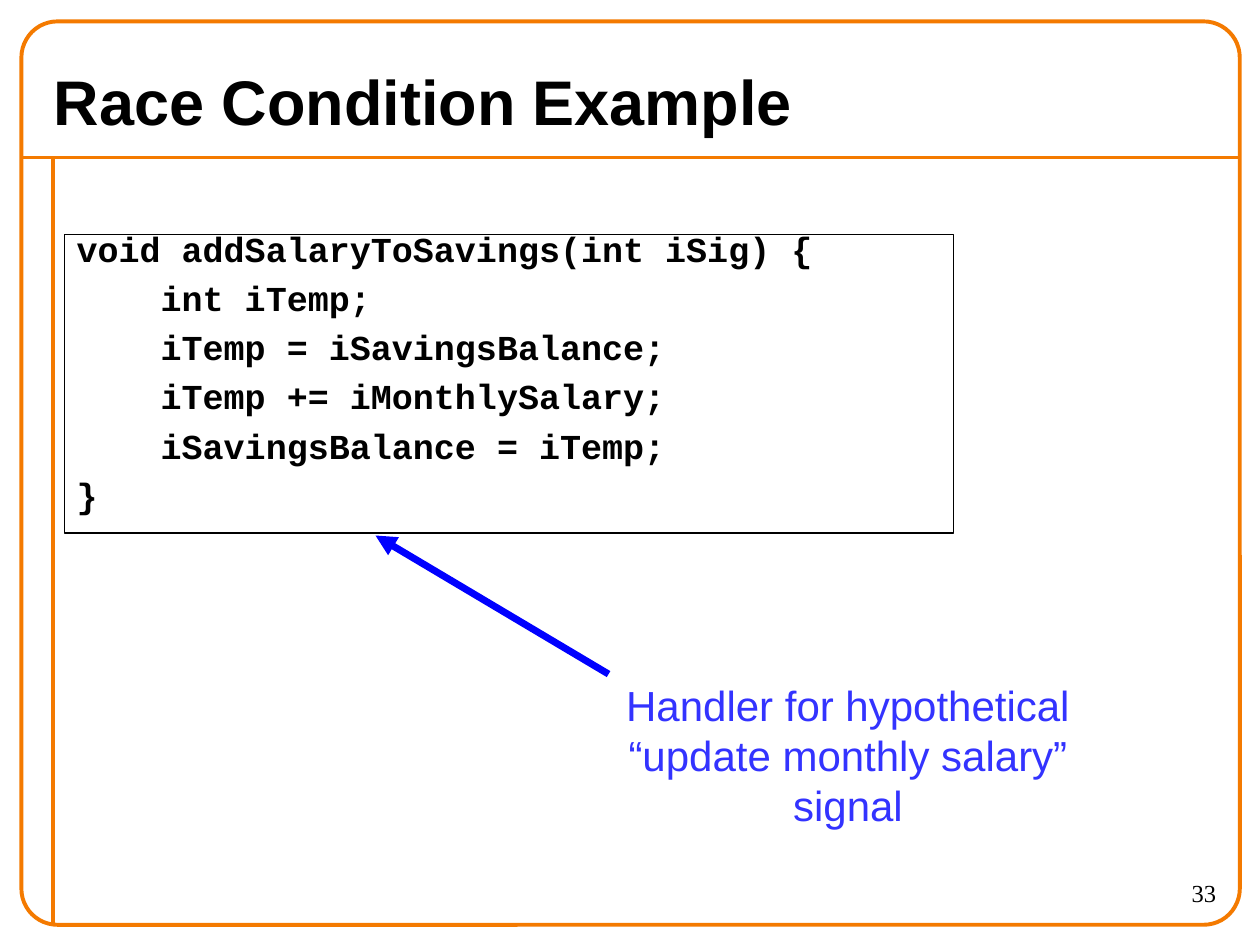
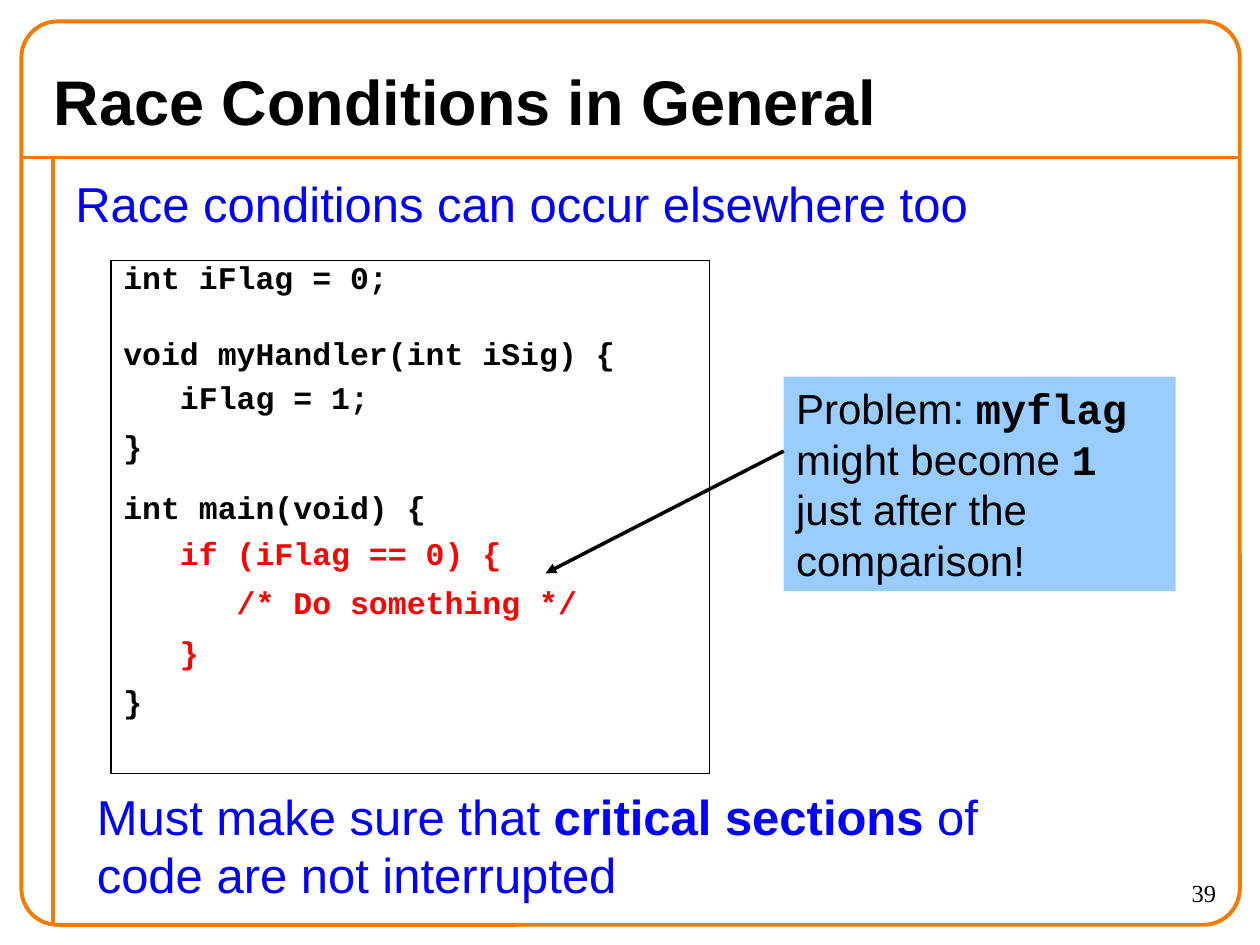
from lxml import etree
from pptx import Presentation
from pptx import util as u
from pptx.dml.color import RGBColor
from pptx.enum import shapes, text as t
from pptx.oxml import ns

COLORS = {
    "frame": "F47A00",
    "ink": "000000",
    "paper": "FFFFFF",
    "blue": "0000FF",
    "caption": "3333FF",
    "alert": "FF0000",
    "callout": "99CCFF",
}
SANS, MONO, SERIF = "Arial", "Courier New", "Times New Roman"


def color(name):
    return RGBColor.from_string(COLORS[name])


def write(para, words, size=24, font=SANS, ink="ink", bold=False):
    span = para.add_run()
    span.text = words
    span.font.size = u.Pt(size)
    span.font.name = font
    span.font.bold = bold
    span.font.color.rgb = color(ink)


class Deck:
    def __init__(self):
        self.deck = Presentation()
        self.deck.slide_width = u.Inches(10)
        self.deck.slide_height = u.Inches(7.5)
        self.page = None

    def add_page(self, title, number):
        self.page = self.deck.slides.add_slide(self.deck.slide_layouts[6])
        self.add_line((0.17, 1.25), (9.83, 1.25))
        self.add_line((0.42, 1.25), (0.42, 7.33))
        border = self.add_block((0.17, 0.17, 9.67, 7.17), line="frame", width=2.25,
                                kind=shapes.MSO_SHAPE.ROUNDED_RECTANGLE)
        border.adjustments[0] = 0.04
        self.add_text((0.33, 0.42, 8.82, 0.75), [title], size=36, bold=True,
                      anchor=t.MSO_ANCHOR.MIDDLE)
        self.add_text((8.75, 6.92, 1, 0.42), [str(number)], size=14, font=SERIF,
                      align=t.PP_ALIGN.RIGHT)

    def add_line(self, start, end, ink="frame", width=2.25, arrow=False):
        line = self.page.shapes.add_connector(
            shapes.MSO_CONNECTOR.STRAIGHT, *map(u.Inches, start + end))
        line.line.color.rgb = color(ink)
        line.line.width = u.Pt(width)
        if arrow:
            etree.SubElement(line.line._get_or_add_ln(), ns.qn("a:tailEnd"), type="triangle")
        etree.SubElement(line._element.spPr, ns.qn("a:effectLst"))

    def add_block(self, place, fill=None, line=None, width=0.75,
                  kind=shapes.MSO_SHAPE.RECTANGLE):
        block = self.page.shapes.add_shape(kind, *map(u.Inches, place))
        block.shadow.inherit = False
        if fill:
            block.fill.solid()
            block.fill.fore_color.rgb = color(fill)
        else:
            block.fill.background()
        if line:
            block.line.color.rgb = color(line)
            block.line.width = u.Pt(width)
        else:
            block.line.fill.background()
        return block

    def add_text(self, place, lines, wrap=True, **style):
        box = self.page.shapes.add_textbox(*map(u.Inches, place))
        self.fill_text(box, lines, wrap, **style)

    def fill_text(self, box, lines, wrap=True, align=t.PP_ALIGN.LEFT,
                  anchor=t.MSO_ANCHOR.TOP, spacing=None, gaps=None, **style):
        frame = box.text_frame
        frame.word_wrap = wrap
        frame.vertical_anchor = anchor
        for index, line in enumerate(lines):
            para = frame.add_paragraph() if index else frame.paragraphs[0]
            para.alignment = align
            if spacing:
                para.line_spacing = spacing
            if gaps and index:
                para.space_before = u.Pt(gaps[index - 1])
            for words, change in [(line, {})] if isinstance(line, str) else line:
                write(para, words, **{**style, **change})

    def add_code(self, place, lines, size, spacing, gaps):
        block = self.add_block(place, fill="paper", line="ink")
        self.fill_text(block, lines, size=size, font=MONO, bold=True,
                       spacing=spacing, gaps=gaps)

    def add_callout(self, place, spans):
        self.fill_text(self.add_block(place, fill="callout"), [spans])


def build_example(deck):
    deck.add_page("Race Condition Example", 33)
    code = [
        "void addSalaryToSavings(int iSig) {",
        "    int iTemp;",
        "    iTemp = iSavingsBalance;",
        "    iTemp += iMonthlySalary;",
        "    iSavingsBalance = iTemp;",
        "}",
    ]
    deck.add_code((0.51, 1.86, 7.06, 2.37), code, 20, 0.65, [12.5] * (len(code) - 1))
    deck.add_line((4.83, 5.35), (2.98, 4.25), "blue", 4, arrow=True)
    deck.add_text((4.41, 5.34, 4.64, 0.9),
                  ["Handler for hypothetical", "“update monthly salary” signal"],
                  wrap=False, align=t.PP_ALIGN.CENTER, ink="caption")


def build_general(deck):
    deck.add_page("Race Conditions in General", 39)
    deck.add_text((0.5, 1.33, 9.25, 0.65), ["Race conditions can occur elsewhere too"],
                  size=28, ink="blue")
    alert = {"ink": "alert"}
    code = [
        "int iFlag = 0;",
        "void myHandler(int iSig) {",
        "   iFlag = 1;",
        "}",
        "int main(void) {",
        [("   if (iFlag == 0) {", alert)],
        [("      /* Do something */", alert)],
        [("   }", alert)],
        "}",
    ]
    deck.add_code((0.88, 2.07, 4.75, 4.07), code, 18, 0.75,
                  [27, 9, 12, 18.5, 10, 12, 12, 12])
    mono = {"font": MONO, "bold": True}
    deck.add_callout((6.22, 2.99, 3.11, 1.7), [
        ("Problem: ", {}), ("myflag ", mono), ("might become ", {}),
        ("1 ", mono), ("just after the comparison!", {}),
    ])
    deck.add_line((6.22, 3.58), (4.33, 4.55), "ink", 2, arrow=True)
    deck.add_text((0.67, 6.19, 7.85, 1.1), [[
        ("Must make sure that ", {}), ("critical sections", {"bold": True}),
        (" of code are not interrupted", {}),
    ]], size=28, ink="blue")


def main():
    deck = Deck()
    build_example(deck)
    build_general(deck)
    deck.deck.save("out.pptx")


if __name__ == "__main__":
    main()
